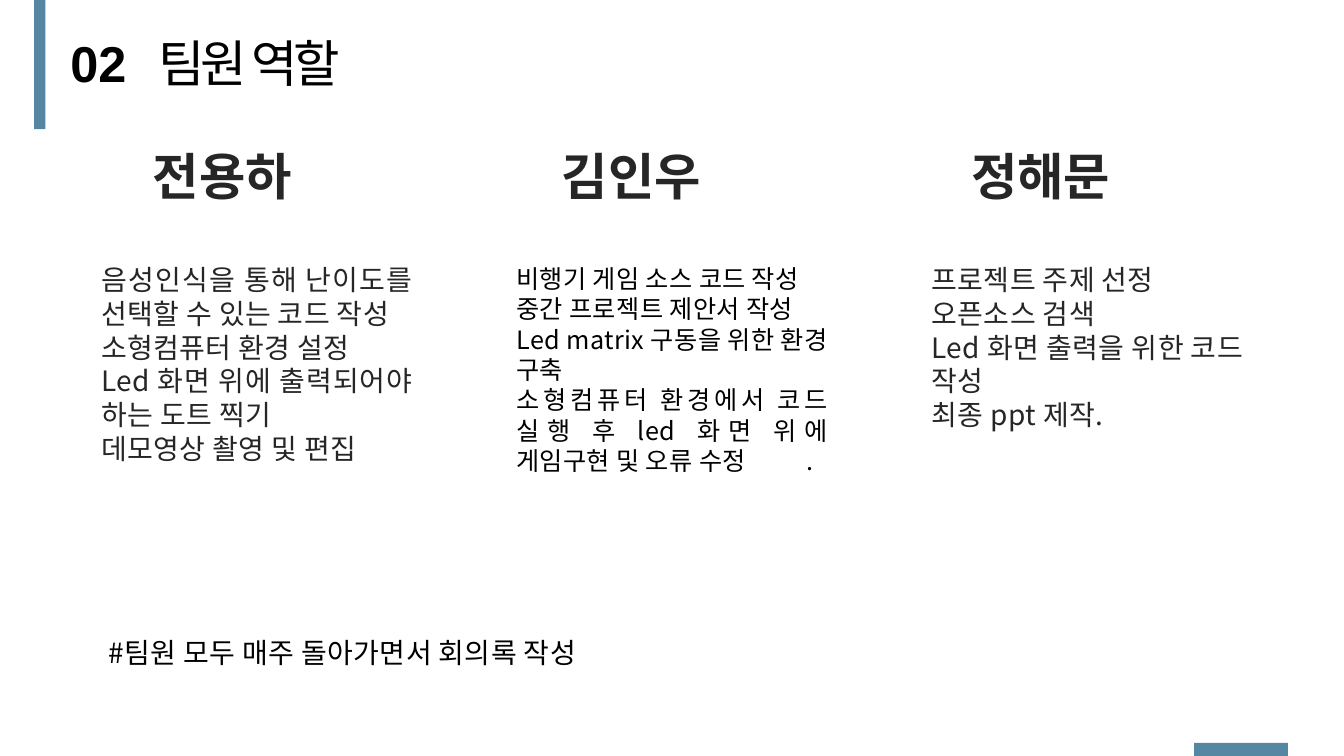
import pptx
import pptx.util
import pptx.dml.color
import pptx.enum.text
import pptx.enum.shapes
import lxml.etree

Pt = pptx.util.Pt
RGBColor = pptx.dml.color.RGBColor
Align = pptx.enum.text.PP_ALIGN
BLUE = RGBColor(0x55, 0x87, 0xA2)
BLACK = RGBColor(0, 0, 0)
DARK = RGBColor(0x26, 0x26, 0x26)
NOTO = "Noto Sans CJK KR"


def place(box, left, top, width, height):
    box.left, box.top, box.width, box.height = Pt(left), Pt(top), Pt(width), Pt(height)


def fill(box, text, size, pitch, color, face, align, bold=False, wrap=True, gap=0):
    frame = box.text_frame
    frame.text = text
    frame.word_wrap = wrap
    frame.auto_size = pptx.enum.text.MSO_AUTO_SIZE.SHAPE_TO_FIT_TEXT
    frame.vertical_anchor = pptx.enum.text.MSO_ANCHOR.TOP
    for para in frame.paragraphs:
        para.alignment = align
        para.line_spacing = Pt(pitch)
        for run in para.runs:
            font = run.font
            font.size, font.bold, font.name = Pt(size), bold, face
            font.color.rgb = color
            font._element.set("spc", str(gap))
            east = lxml.etree.SubElement(font._element, pptx.oxml.ns.qn("a:ea"))
            east.set("typeface", NOTO)


deck = pptx.Presentation()
deck.slide_width, deck.slide_height = Pt(960), Pt(540)
slide = deck.slides.add_slide(deck.slide_layouts[5])

for left, top, width, height in [(24.5, 0, 8, 92.2), (853, 530.6, 67, 9.4)]:
    bar = slide.shapes.add_shape(
        pptx.enum.shapes.MSO_SHAPE.RECTANGLE, Pt(left), Pt(top), Pt(width), Pt(height))
    bar.shadow.inherit = False
    bar.fill.solid()
    bar.fill.fore_color.rgb = BLUE
    bar.line.fill.background()

label = slide.shapes.add_textbox(0, 0, 0, 0)
place(label, 43.2, 18.7, 54.7, 51)
fill(label, "02", 36, 44, BLACK, "Arial", Align.LEFT, True, False)

title = slide.shapes.title
place(title, 105.8, 18.7, 154.8, 51)
fill(title, "팀원 역할", 36, 44, BLACK, "Arial", Align.LEFT, False, False, -260)

note = slide.shapes.add_textbox(0, 0, 0, 0)
place(note, 70.6, 450.7, 393, 31.7)
fill(note, "#팀원 모두 매주 돌아가면서 회의록 작성", 20, 24, BLACK, NOTO, Align.JUSTIFY, gap=25)

members = [
    ("전용하", 20, 24, DARK, 177, [
        "음성인식을 통해 난이도를 선택할 수 있는 코드 작성",
        "소형컴퓨터 환경 설정",
        "Led 화면 위에 출력되어야 하는 도트 찍기",
        "데모영상 촬영 및 편집"]),
    ("김인우", 18, 21.7, BLACK, 160, [
        "비행기 게임 소스 코드 작성",
        "중간 프로젝트 제안서 작성",
        "Led matrix 구동을 위한 환경 구축",
        "소형컴퓨터 환경에서 코드 실행 후 led 화면 위에 게임구현 및 오류 수정\t."]),
    ("정해문", 20, 24, DARK, 128, [
        "프로젝트 주제 선정",
        "오픈소스 검색",
        "Led 화면 출력을 위한 코드 작성",
        "최종 ppt 제작."]),
]
for i, (name, size, pitch, color, height, tasks) in enumerate(members):
    group = slide.shapes.add_group_shape()
    body = group.shapes.add_textbox(0, 0, 0, 0)
    place(body, 65.2 + 296.6 * i, 184.3, 236.9, height)
    fill(body, "\n".join(tasks), size, pitch, color, NOTO, Align.JUSTIFY, gap=25)
    head = group.shapes.add_textbox(0, 0, 0, 0)
    place(head, 97.9 + 292.3 * i, 99.4, 121.7, 51)
    fill(head, name, 36, 44, DARK, "Arial", Align.CENTER, True, False)
    for para in body.text_frame.paragraphs:
        if "\t" in para.text:
            stops = lxml.etree.SubElement(
                para._p.get_or_add_pPr(), pptx.oxml.ns.qn("a:tabLst"))
            stop = lxml.etree.SubElement(stops, pptx.oxml.ns.qn("a:tab"))
            stop.set("pos", str(Pt(207)))
            stop.set("algn", "l")

deck.save("out.pptx")
